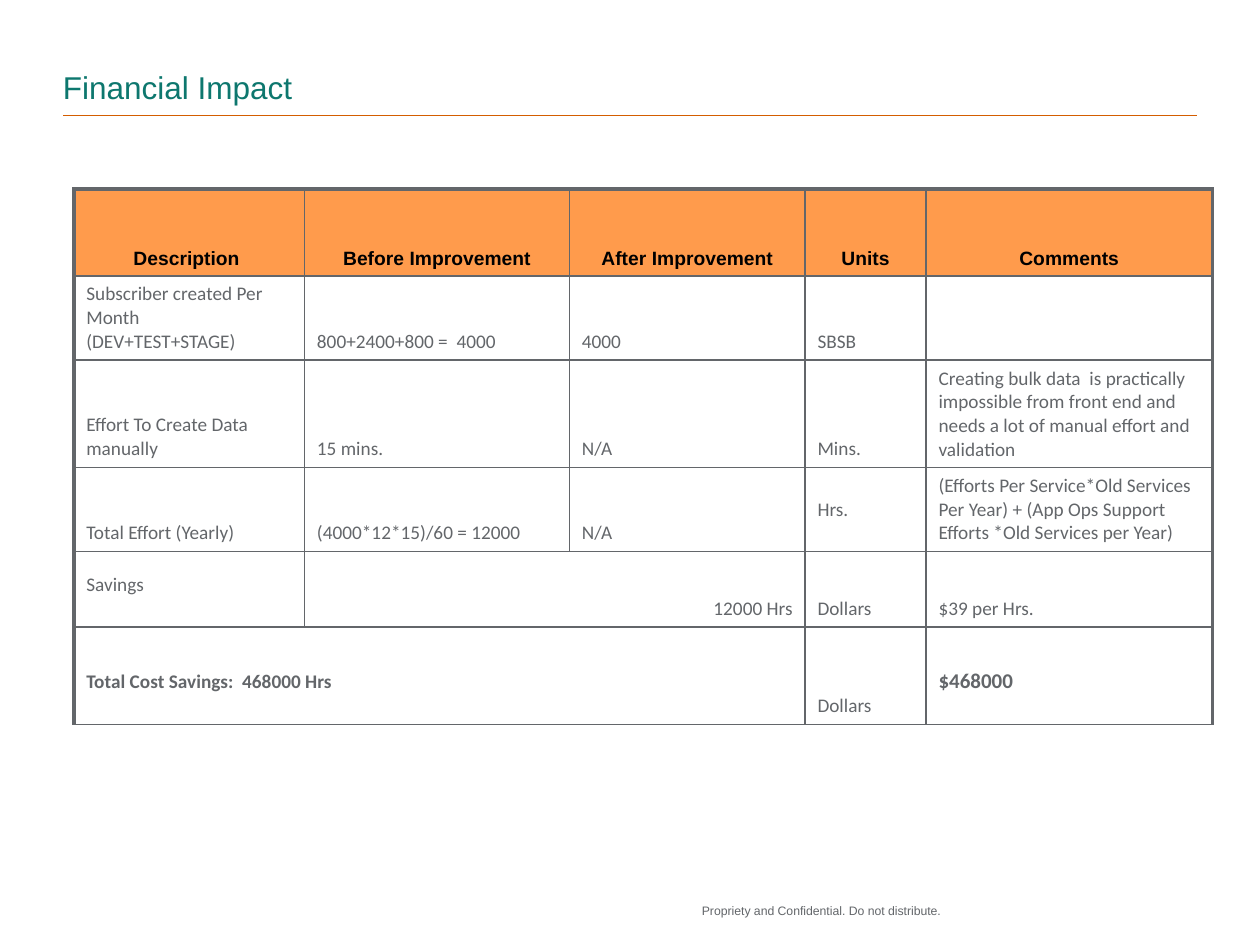
from dataclasses import dataclass
from typing import Any

from lxml.etree import SubElement
from pptx import Presentation
from pptx.dml.color import RGBColor
from pptx.enum.shapes import MSO_CONNECTOR as Link
from pptx.enum.text import MSO_ANCHOR as Anchor, PP_ALIGN as Align
from pptx.oxml import parse_xml
from pptx.oxml.ns import nsdecls, qn
from pptx.util import Cm, Pt

TEAL = RGBColor(0x0D, 0x77, 0x6E)
RUST = RGBColor(0xD4, 0x5D, 0x00)
PEACH = RGBColor(0xFF, 0x9B, 0x4C)
GREY = RGBColor(0x63, 0x66, 0x6A)
BLACK = RGBColor(0, 0, 0)

THIN, THICK = Pt(1), Pt(2.25)
LOW, HIGH = Cm(0.13), Cm(0.61)


@dataclass
class Look:
    size: float
    face: str
    tint: RGBColor
    bold: bool = False
    align: Any = Align.LEFT
    lead: float = 1.0


@dataclass
class Label:
    text: str
    left: float
    top: float
    width: float
    height: float
    look: Look
    wrap: bool
    anchor: Any


@dataclass
class Entry:
    text: str
    look: Look
    span: int = 1
    foot: int = LOW


HEAD = Look(11, "Arial", BLACK, True, Align.CENTER, 0.95)
BODY = Look(11, "Calibri", GREY)
RIGHT = Look(11, "Calibri", GREY, align=Align.RIGHT)
BOLD = Look(11, "Calibri", GREY, True)
TOTAL = Look(12, "Calibri", GREY, True)

LABELS = [
    Label("Propriety and Confidential. Do not distribute.", 14.15, 18.21, 5.28, 0.64,
          Look(7, "Arial", GREY), False, Anchor.TOP),
    Label("Financial Impact", 1.27, 0.43, 22.86, 1.7,
          Look(18, "Arial", TEAL), True, Anchor.BOTTOM),
]

WIDTHS = [4.65, 5.34, 4.75, 2.44, 5.77]
HEIGHTS = [1.75, 1.7, 2.16, 1.7, 1.52, 1.96]


def line(*texts: str) -> list[Entry]:
    return [Entry(text, BODY) for text in texts]


ROWS = [
    [Entry(text, HEAD) for text in (
        "Description\u00a0", "Before Improvement", "After Improvement", "Units", "Comments")],
    line("Subscriber created Per Month\n(DEV+TEST+STAGE)",
         "800+2400+800 =  4000", "4000", "SBSB", ""),
    line("Effort To Create Data manually", "15 mins.", "N/A", "Mins.",
         "Creating bulk data  is practically impossible from front end and "
         "needs a lot of manual effort and validation"),
    [*line("Total Effort (Yearly)", "(4000*12*15)/60 = 12000", "N/A"),
     Entry("Hrs.", BODY, foot=HIGH),
     *line("(Efforts Per Service*Old Services Per Year) + "
           "(App Ops Support Efforts *Old Services per Year)")],
    [Entry("Savings", BODY, foot=HIGH), Entry("12000 Hrs", RIGHT, 2),
     *line("Dollars ", "$39 per Hrs.")],
    [Entry("Total Cost Savings:  468000 Hrs", BOLD, 3, HIGH), *line("Dollars"),
     Entry("$468000", TOTAL, foot=HIGH)],
]


def assign(item: Any, values: dict[str, Any]) -> None:
    for name, value in values.items():
        setattr(item, name, value)


def write(frame: Any, text: str, look: Look) -> None:
    frame.text = text
    for para in frame.paragraphs:
        assign(para, {"alignment": look.align, "line_spacing": look.lead})
        for part in [para, *para.runs]:
            assign(part.font, {"size": Pt(look.size), "name": look.face, "bold": look.bold})
            part.font.color.rgb = look.tint


def place(slide: Any, label: Label) -> None:
    box = slide.shapes.add_textbox(
        Cm(label.left), Cm(label.top), Cm(label.width), Cm(label.height))
    assign(box.text_frame, {
        "margin_left": 0, "margin_right": 0, "margin_top": 0, "margin_bottom": 0,
        "word_wrap": label.wrap, "vertical_anchor": label.anchor})
    write(box.text_frame, label.text, label.look)


def border(cell: Any, row: int, col: int) -> None:
    edges = {"lnL": col == 0, "lnR": col == len(WIDTHS) - 1, "lnT": row == 0, "lnB": False}
    props = cell._tc.get_or_add_tcPr()
    for spot, (tag, outer) in enumerate(edges.items()):
        edge = parse_xml(f'<a:{tag} {nsdecls("a")} w="{THICK if outer else THIN}">'
                         f'<a:solidFill><a:srgbClr val="{GREY}"/></a:solidFill></a:{tag}>')
        props.insert(spot, edge)


def draw_rule(slide: Any) -> None:
    rule = slide.shapes.add_connector(
        Link.STRAIGHT, Cm(1.27), Cm(2.33), Cm(24.13), Cm(2.33))
    rule.line.color.rgb = RUST
    rule.line.width = THIN
    SubElement(rule._element.spPr, qn("a:effectLst"))


def draw_table(slide: Any) -> None:
    table = slide.shapes.add_table(
        len(ROWS), len(WIDTHS), Cm(1.49), Cm(3.81),
        Cm(sum(WIDTHS)), Cm(sum(HEIGHTS))).table
    assign(table, {"first_row": False, "horz_banding": False})
    for part, size in [*zip(table.columns, WIDTHS)]:
        part.width = Cm(size)
    for part, size in [*zip(table.rows, HEIGHTS)]:
        part.height = Cm(size)
    for row, entries in enumerate(ROWS):
        for col in range(len(WIDTHS)):
            cell = table.cell(row, col)
            if row == 0:
                cell.fill.solid()
                cell.fill.fore_color.rgb = PEACH
            else:
                cell.fill.background()
            border(cell, row, col)
        col = 0
        for entry in entries:
            cell = table.cell(row, col)
            if entry.span > 1:
                cell.merge(table.cell(row, col + entry.span - 1))
            assign(cell, {
                "margin_left": Cm(0.25), "margin_right": Cm(0.25), "margin_top": LOW,
                "margin_bottom": entry.foot, "vertical_anchor": Anchor.BOTTOM})
            write(cell.text_frame, entry.text, entry.look)
            col += entry.span


deck = Presentation()
assign(deck, {"slide_width": Cm(25.4), "slide_height": Cm(19.05)})
slide = deck.slides.add_slide(deck.slide_layouts[6])
draw_rule(slide)
for label in LABELS:
    place(slide, label)
draw_table(slide)
deck.save("out.pptx")
